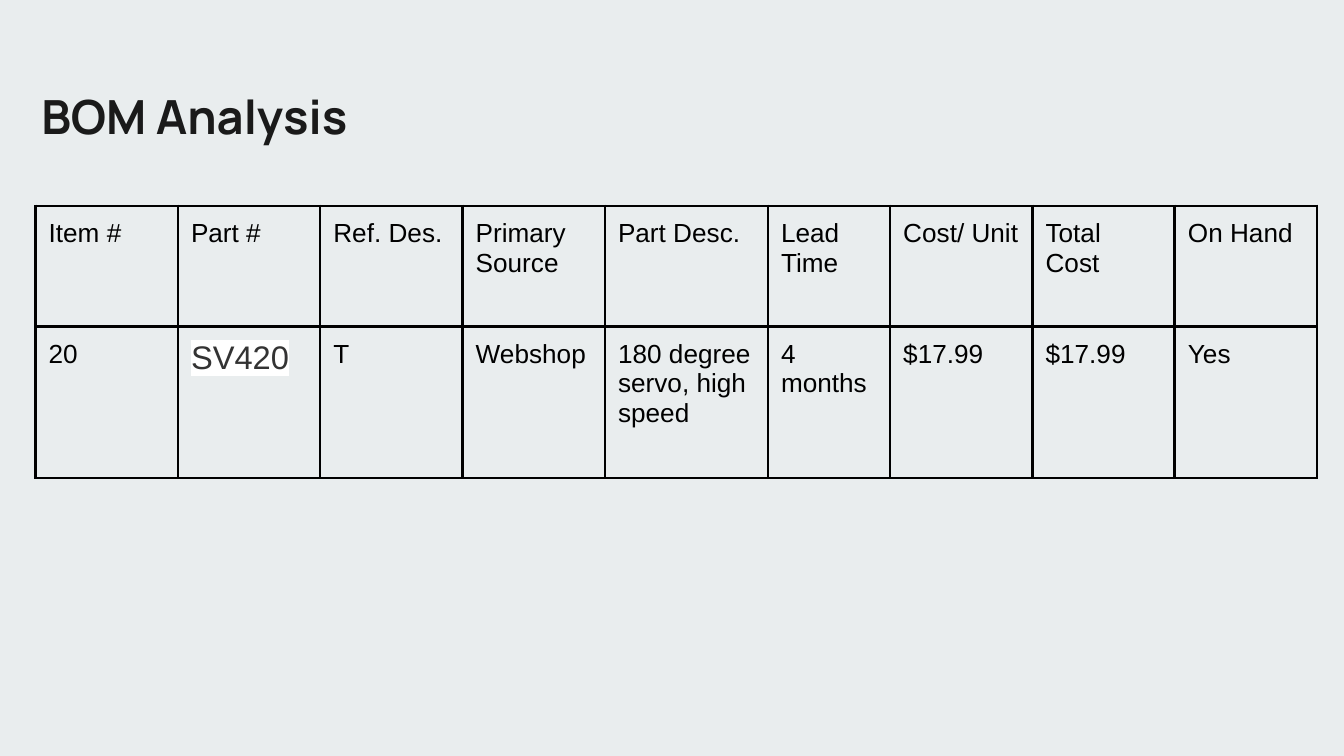
"""Build the BOM Analysis slide with its parts table."""
import dataclasses

import pptx
import pptx.dml.color
import pptx.enum.text
import pptx.oxml
import pptx.oxml.ns
import pptx.util
from pptx.util import Cm


@dataclasses.dataclass(frozen=True)
class Theme:
    back: str = "E9EDEE"
    ink: str = "000000"
    head: str = "1A1A1A"
    grey: str = "333333"
    mark: str = "FFFFFF"
    face: str = "Arial"
    head_face: str = "Manrope"
    size: float = 14
    big: float = 17.5
    head_size: float = 25.2
    rule: float = 1.5
    pad: float = 0.25


@dataclasses.dataclass(frozen=True)
class Column:
    label: str
    value: str
    width: float = 2.69
    marked: bool = False


THEME = Theme()
COLUMNS = [
    Column("Item #", "20"),
    Column("Part #", "SV420", marked=True),
    Column("Ref. Des.", "T"),
    Column("Primary Source", "Webshop"),
    Column("Part Desc.", "180 degree servo, high speed", 3.08),
    Column("Lead Time", "4 months", 2.31),
    Column("Cost/ Unit", "$17.99"),
    Column("Total Cost", "$17.99"),
    Column("On Hand", "Yes"),
]
HEIGHTS = [2.28, 2.87]


def color(code: str) -> pptx.dml.color.RGBColor:
    return pptx.dml.color.RGBColor.from_string(code)


def style(para, face: str, size: float, code: str, bold: bool = False) -> None:
    font = para.font
    font.name, font.size, font.bold = face, pptx.util.Pt(size), bold
    font.color.rgb = color(code)


def pad(box) -> None:
    box.margin_left = box.margin_right = Cm(THEME.pad)
    box.margin_top = box.margin_bottom = Cm(THEME.pad)


def border(cell) -> None:
    props = cell._tc.get_or_add_tcPr()
    space = pptx.oxml.ns.nsdecls("a")
    for spot, side in enumerate("LRTB"):
        line = pptx.oxml.parse_xml(
            f'<a:ln{side} {space} w="{pptx.util.Pt(THEME.rule)}"><a:solidFill>'
            f'<a:srgbClr val="{THEME.ink}"/></a:solidFill></a:ln{side}>')
        props.insert(spot, line)


def mark(run) -> None:
    space = pptx.oxml.ns.nsdecls("a")
    run.font._element.append(pptx.oxml.parse_xml(
        f'<a:highlight {space}><a:srgbClr val="{THEME.mark}"/></a:highlight>'))


def fill_cell(cell, text: str, marked: bool) -> None:
    cell.text = text
    pad(cell)
    cell.fill.background()
    border(cell)
    para = cell.text_frame.paragraphs[0]
    if marked:
        style(para, THEME.face, THEME.big, THEME.grey)
        mark(para.runs[0])
    else:
        style(para, THEME.face, THEME.size, THEME.ink)


def add_title(slide, text: str) -> None:
    title = slide.shapes.title
    title.left, title.top = Cm(0.53), Cm(1.4)
    title.width, title.height = Cm(21.36), Cm(1.5)
    frame = title.text_frame
    frame.text = text
    frame.word_wrap = True
    frame.auto_size = pptx.enum.text.MSO_AUTO_SIZE.NONE
    frame.vertical_anchor = pptx.enum.text.MSO_ANCHOR.TOP
    pad(frame)
    para = frame.paragraphs[0]
    para.alignment = pptx.enum.text.PP_ALIGN.LEFT
    style(para, THEME.head_face, THEME.head_size, THEME.head, True)


def add_parts(slide, columns: list[Column]) -> None:
    width = sum(column.width for column in columns)
    table = slide.shapes.add_table(
        len(HEIGHTS), len(columns), Cm(0.67), Cm(3.89),
        Cm(width), Cm(sum(HEIGHTS))).table
    table.first_row = table.horz_banding = False
    for row, height in zip(table.rows, HEIGHTS):
        row.height = Cm(height)
    for spot, column in enumerate(columns):
        table.columns[spot].width = Cm(column.width)
        fill_cell(table.cell(0, spot), column.label, False)
        fill_cell(table.cell(1, spot), column.value, column.marked)


def main() -> None:
    deck = pptx.Presentation()
    deck.slide_width, deck.slide_height = Cm(25.4), Cm(14.29)
    slide = deck.slides.add_slide(deck.slide_layouts[5])
    fill = slide.background.fill
    fill.solid()
    fill.fore_color.rgb = color(THEME.back)
    add_title(slide, "BOM Analysis")
    add_parts(slide, COLUMNS)
    deck.save("out.pptx")


if __name__ == "__main__":
    main()
